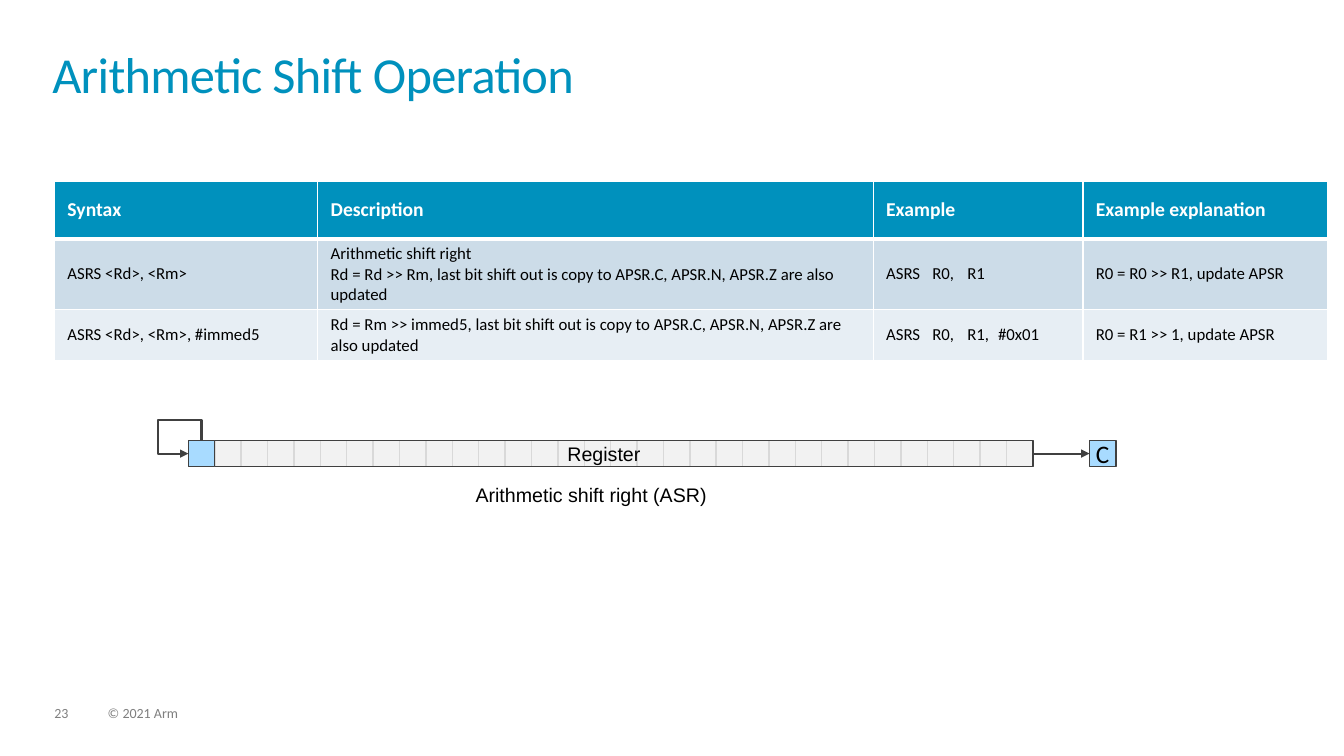
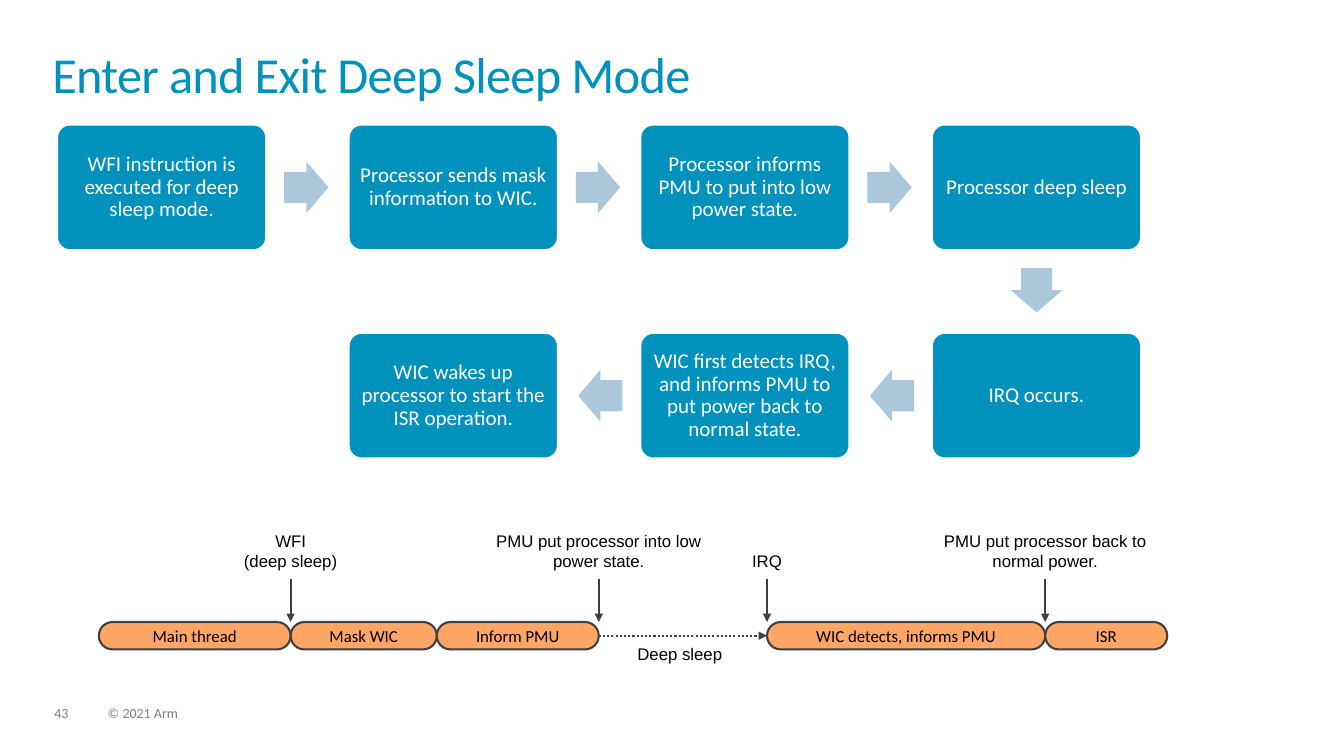
import math
from itertools import pairwise

from lxml import etree
from pptx import Presentation
from pptx.dml.color import RGBColor
from pptx.enum import dml, shapes, text
from pptx.oxml.ns import qn
from pptx.util import Pt

TEAL = RGBColor(0x00, 0x91, 0xBD)
WHITE = RGBColor(0xFF, 0xFF, 0xFF)
BLACK = RGBColor(0x00, 0x00, 0x00)
GREY = RGBColor(0x7F, 0x7F, 0x7F)
DARK = RGBColor(0x40, 0x40, 0x40)
BAND_DARK = RGBColor(0xCC, 0xDC, 0xE8)
BAND_LIGHT = RGBColor(0xE7, 0xEE, 0xF4)
BIT_FILL = RGBColor(0xF2, 0xF2, 0xF2)
BIT_LINE = RGBColor(0xD9, 0xD9, 0xD9)
SKY = RGBColor(0xA8, 0xDB, 0xFF)
ORANGE = RGBColor(0xFF, 0xA6, 0x66)
ARROW = RGBColor(0xAB, 0xC7, 0xDB)

SHAPE = shapes.MSO_SHAPE
CENTER = text.PP_ALIGN.CENTER
MIDDLE = text.MSO_ANCHOR.MIDDLE
NO_INSETS = dict.fromkeys(("margin_left", "margin_right", "margin_top", "margin_bottom"), 0)

TITLE = {"size": 36, "color": TEAL, "line_spacing": 0.85}
FOOTER = {"size": 10, "color": GREY, "line_spacing": 0.9}
HEADER_CELL = {"size": 14, "color": WHITE, "bold": True}
BODY_CELL = {"size": 12, "bold": False}
CARRY = {"size": 18, "alignment": CENTER}
CAPTION = {"size": 14, "name": "Arial"}
STEP = {"size": 15, "color": WHITE, "alignment": CENTER, "line_spacing": 0.9}
SEGMENT = {"size": 12, "alignment": CENTER}
EVENT = {"size": 12, "name": "Arial", "alignment": CENTER}

CODE_TABS = (33, 58, 80)
ASR_ROWS = [
    ["Syntax", "Description", "Example", "Example explanation"],
    ["ASRS <Rd>, <Rm>",
     "Arithmetic shift right\nRd = Rd >> Rm, last bit shift out is copy to APSR.C, "
     "APSR.N, APSR.Z are also updated",
     "ASRS\tR0,\tR1", "R0 = R0 >> R1, update APSR"],
    ["ASRS <Rd>, <Rm>, #immed5",
     "Rd = Rm >> immed5, last bit shift out is copy to APSR.C, APSR.N, APSR.Z are also updated",
     "ASRS\tR0,\tR1,\t#0x01", "R0 = R1 >> 1, update APSR"],
]
STEPS = [
    (0, 0, "WFI instruction is executed for deep sleep mode."),
    (1, 0, "Processor sends mask information to WIC."),
    (2, 0, "Processor informs PMU to put into low power state."),
    (3, 0, "Processor deep sleep"),
    (3, 1, "IRQ occurs."),
    (2, 1, "WIC first detects IRQ, and informs PMU to put power back to normal state."),
    (1, 1, "WIC wakes up processor to start the ISR operation."),
]
SEGMENTS = [
    ("Main thread", 0, 137),
    ("Mask WIC", 137, 241.4),
    ("Inform PMU", 241.4, 357.1),
    ("WIC detects, informs PMU", 477.3, 676),
    ("ISR", 676, 763.2),
]
EVENTS = [
    (137, 162, "WFI\n(deep sleep)"),
    (357.1, 162, "PMU put processor into low power state."),
    (477.3, 62, "IRQ"),
    (676, 197, "PMU put processor back to normal power."),
]


def pts(*values):
    return [Pt(v) for v in values]


def apply(obj, values):
    for key, value in values.items():
        setattr(obj, key, value)


def write(tf, words, size, color=BLACK, name="Calibri", bold=False, tabs=(), **layout):
    for i, line in enumerate(words.split("\n")):
        p = tf.paragraphs[0] if i == 0 else tf.add_paragraph()
        apply(p, layout)
        if tabs:
            stops = etree.SubElement(p._p.get_or_add_pPr(), qn("a:tabLst"))
            for pos in tabs:
                etree.SubElement(stops, qn("a:tab"), pos=str(Pt(pos)), algn="l")
        r = p.add_run()
        r.text = line
        apply(r.font, {"size": Pt(size), "name": name, "bold": bold})
        r.font.color.rgb = color


def add_text(s, box, words, style, **frame):
    tf = s.shapes.add_textbox(*pts(*box)).text_frame
    apply(tf, {"word_wrap": True, **frame})
    write(tf, words, **style)
    return tf


def add_block(s, kind, box, fill=None, line=None, weight=1, adj=()):
    sp = s.shapes.add_shape(kind, *pts(*box))
    sp.shadow.inherit = False
    for i, value in enumerate(adj):
        sp.adjustments[i] = value
    for target, color in ((sp.fill, fill), (sp.line.fill, line)):
        if color is None:
            target.background()
        else:
            target.solid()
            target.fore_color.rgb = color
    if line is not None:
        sp.line.width = Pt(weight)
    return sp


def label(sp, words, style, **frame):
    apply(sp.text_frame, {"vertical_anchor": MIDDLE, **frame})
    write(sp.text_frame, words, **style)


def add_arrow(s, start, end, kind=shapes.MSO_CONNECTOR.STRAIGHT, dash=None):
    c = s.shapes.add_connector(kind, *pts(*start, *end))
    c.line.color.rgb = DARK
    c.line.width = Pt(1.5)
    if dash:
        c.line.dash_style = dash
    sp_pr = c._element.spPr
    etree.SubElement(sp_pr.find(qn("a:ln")), qn("a:tailEnd"), type="triangle")
    etree.SubElement(sp_pr, qn("a:effectLst"))
    return c


def join(s, left, right, dash=None):
    c = add_arrow(s, (0, 0), (1, 1), dash=dash)
    c.begin_connect(left, 3)
    c.end_connect(right, 1)


def new_slide(prs, title, number):
    s = prs.slides.add_slide(prs.slide_layouts[6])
    tf = add_text(s, (37.4, 37.4, 884, 52), title, TITLE, **NO_INSETS)
    tf.paragraphs[0].runs[0]._r.get_or_add_rPr().set("spc", "-50")
    for x, w, words in ((38.9, 24.5, str(number)), (77, 365, "© 2021 Arm")):
        add_text(s, (x, 504.7, w, 10.8), words, FOOTER, **NO_INSETS)
    return s


def border_cell(cell, bottom):
    tc_pr = cell._tc.get_or_add_tcPr()
    for i, (side, weight) in enumerate((("L", 1), ("R", 1), ("T", 1), ("B", bottom))):
        ln = etree.Element(qn(f"a:ln{side}"), w=str(Pt(weight)))
        fill = etree.SubElement(ln, qn("a:solidFill"))
        etree.SubElement(fill, qn("a:srgbClr"), val=str(WHITE))
        tc_pr.insert(i, ln)


def instruction_table(s, x, y):
    widths, heights = (188, 396.8, 149.8, 175), (41, 50.6, 36)
    t = s.shapes.add_table(len(heights), len(widths),
                           *pts(x, y, sum(widths), sum(heights))).table
    for col, w in zip(t.columns, widths):
        col.width = Pt(w)
    fills = (TEAL, BAND_DARK, BAND_LIGHT)
    for i, (row, h, fill, words) in enumerate(zip(t.rows, heights, fills, ASR_ROWS)):
        row.height = Pt(h)
        for cell, content in zip(row.cells, words):
            apply(cell, {"vertical_anchor": MIDDLE, "margin_left": Pt(9.2),
                         "margin_right": Pt(9.2), "margin_top": Pt(3.6),
                         "margin_bottom": Pt(3.6)})
            cell.fill.solid()
            cell.fill.fore_color.rgb = fill
            border_cell(cell, 1 if i else 3)
            write(cell.text_frame, content, tabs=CODE_TABS if "\t" in content else (),
                  **(BODY_CELL if i else HEADER_CELL))


def shift_register(s, x, y, bit=18.85, bits=32):
    for i in range(1, bits):
        add_block(s, SHAPE.RECTANGLE, (x + i * bit, y, bit, bit), BIT_FILL, BIT_LINE)
    outline = add_block(s, SHAPE.RECTANGLE, (x, y, bits * bit, bit), line=DARK)
    add_block(s, SHAPE.RECTANGLE, (x, y, bit, bit), SKY, DARK)
    carry = add_block(s, SHAPE.RECTANGLE, (x + bits * bit + 40.4, y, bit, bit), SKY, DARK)
    label(carry, "C", CARRY, word_wrap=False)
    join(s, outline, carry)

    loop = add_arrow(s, (x + bit / 2, y + bit / 2), (x, y), shapes.MSO_CONNECTOR.ELBOW)
    sp_pr = loop._element.spPr
    sp_pr.find(qn("a:xfrm")).set("rot", "16200000")
    geom = sp_pr.find(qn("a:prstGeom"))
    geom.set("prst", "bentConnector4")
    guides = geom.find(qn("a:avLst"))
    for name, value in (("adj1", -156000), ("adj2", 330000)):
        etree.SubElement(guides, qn("a:gd"), name=name, fmla=f"val {value}")

    add_text(s, (x + 263.6, y - 2.8, 98.6, 24.4), "Register", CAPTION)
    add_text(s, (x + 198, y + 26.7, 283, 24.4), "Arithmetic shift right (ASR)", CAPTION)


def step_flow(s, x, y):
    w, h, col_pitch, row_pitch = 149, 89.3, 208.3, 148.8
    arrow_w, arrow_h, gap = 31.6, 37, 13
    for col, row, words in STEPS:
        sp = add_block(s, SHAPE.ROUNDED_RECTANGLE,
                       (x + col * col_pitch, y + row * row_pitch, w, h), TEAL, WHITE, adj=(0.1,))
        label(sp, words, STEP, word_wrap=True, margin_left=Pt(4.5), margin_right=Pt(4.5))
    reach = gap + arrow_w / 2
    for (col, row, _), (next_col, next_row, _) in pairwise(STEPS):
        dx, dy = next_col - col, next_row - row
        cx = x + col * col_pitch + w / 2 + dx * (w / 2 + reach)
        cy = y + row * row_pitch + h / 2 + dy * (h / 2 + reach)
        sp = add_block(s, SHAPE.RIGHT_ARROW,
                       (cx - arrow_w / 2, cy - arrow_h / 2, arrow_w, arrow_h),
                       ARROW, adj=(0.6, 0.5))
        sp.rotation = math.degrees(math.atan2(dy, dx))


def sleep_timeline(s, x, y):
    label_h, arrow_y, bar_y, bar_h = 35, 36.7, 67.7, 19.6
    bars = {}
    for words, start, end in SEGMENTS:
        bars[words] = add_block(s, SHAPE.ROUNDED_RECTANGLE,
                                (x + start, y + bar_y, end - start, bar_h),
                                ORANGE, DARK, 1.5, (0.5,))
        label(bars[words], words, SEGMENT, word_wrap=False)
    for at, w, words in EVENTS:
        add_arrow(s, (x + at, y + arrow_y), (x + at, y + bar_y))
        add_text(s, (x + at - w / 2, y, w, label_h), words, EVENT,
                 vertical_anchor=text.MSO_ANCHOR.BOTTOM)
    join(s, bars["Inform PMU"], bars["WIC detects, informs PMU"], dml.MSO_LINE.ROUND_DOT)
    add_text(s, (x + 353.5, y + 79.9, 123, 21.6), "Deep sleep", EVENT)


def main():
    prs = Presentation()
    apply(prs, {"slide_width": Pt(960), "slide_height": Pt(540)})

    s = new_slide(prs, "Arithmetic Shift Operation", 23)
    instruction_table(s, 39, 129.6)
    shift_register(s, 134.6, 314.6)

    s = new_slide(prs, "Enter and Exit Deep Sleep Mode", 43)
    step_flow(s, 41, 89.2)
    sleep_timeline(s, 70.6, 376.6)

    prs.save("out.pptx")


if __name__ == "__main__":
    main()
